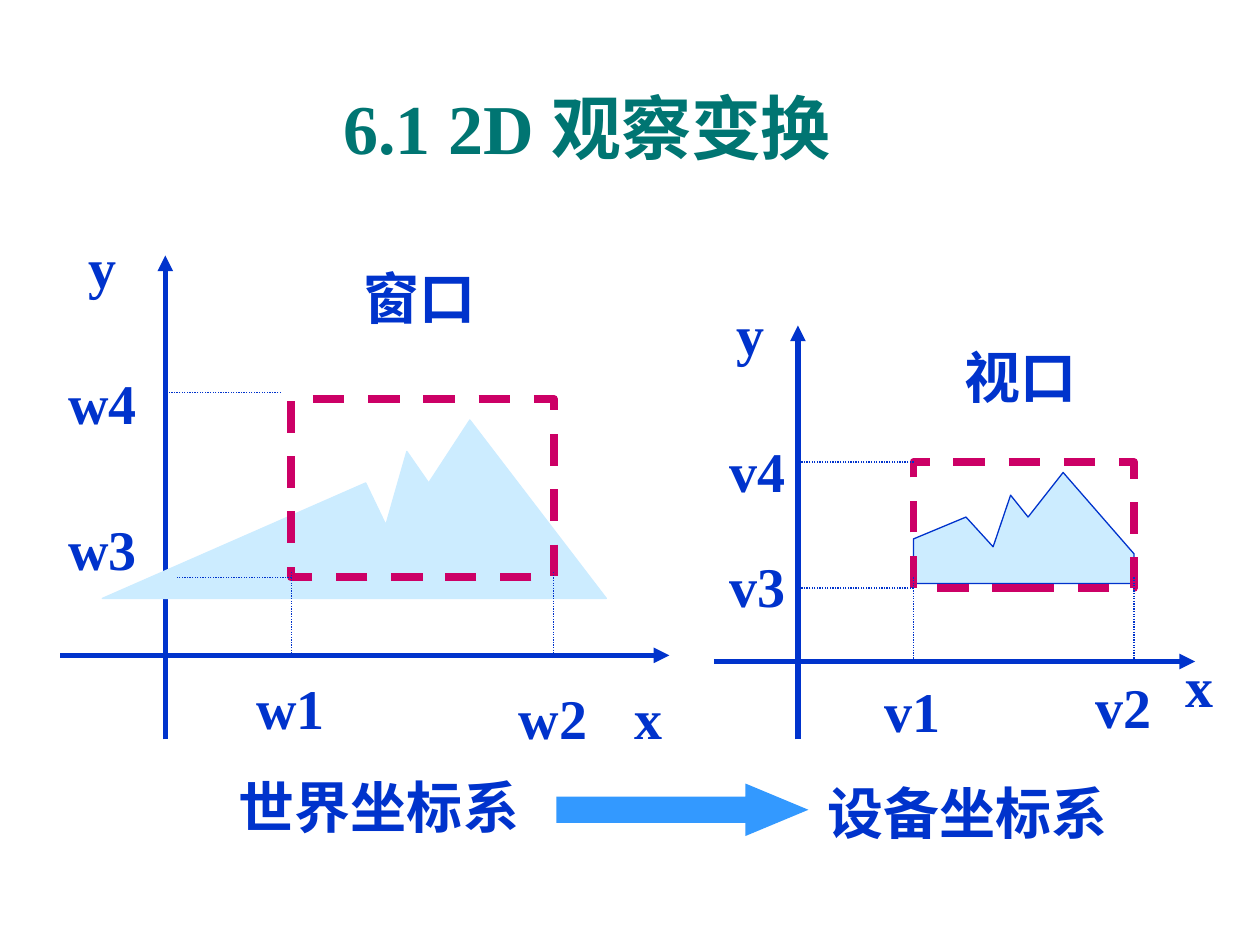
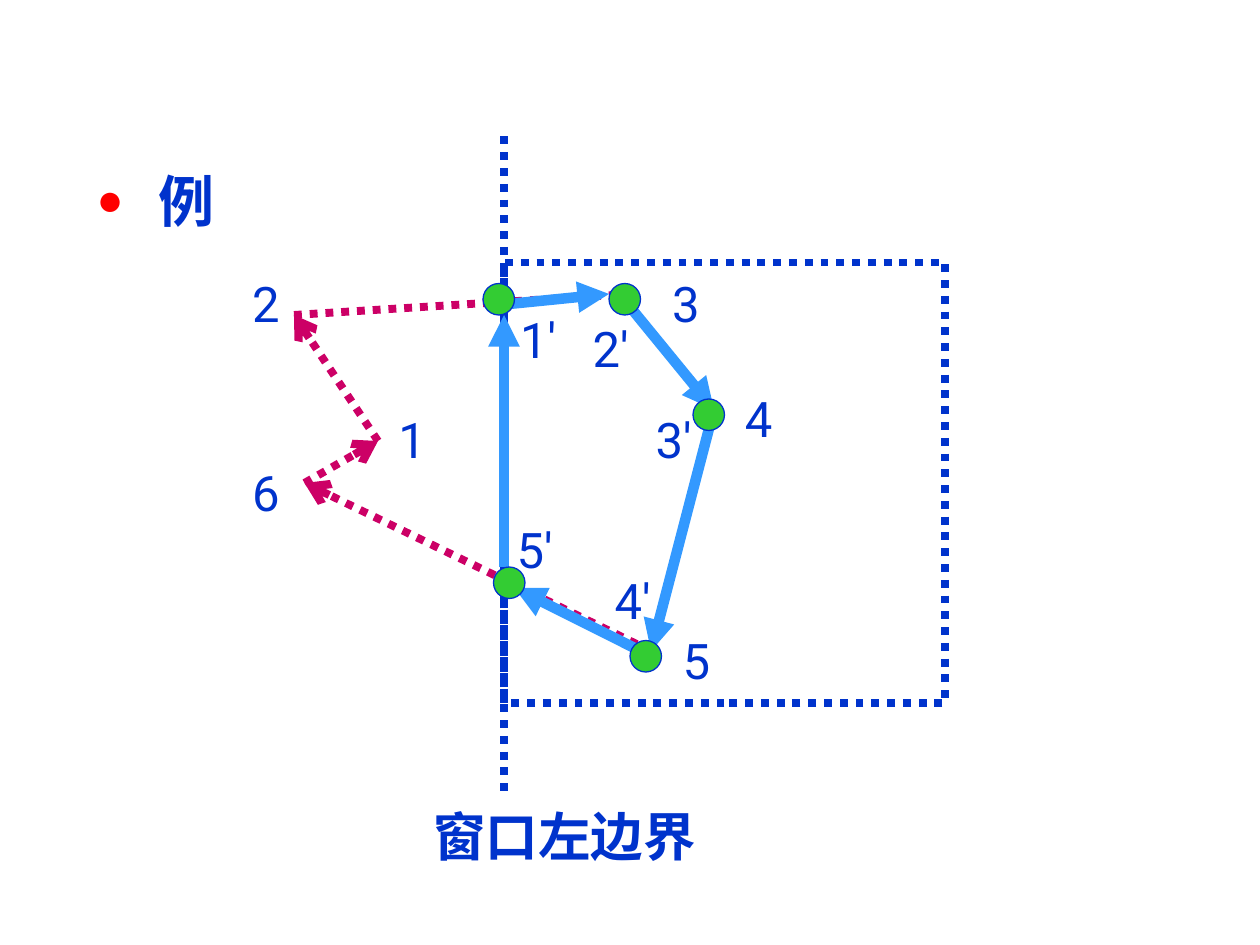
import lxml.etree
import pptx
import pptx.dml.color
import pptx.enum.dml
import pptx.enum.shapes
import pptx.enum.text
import pptx.oxml.ns
import pptx.util

Pt = pptx.util.Pt
SHAPE = pptx.enum.shapes.MSO_SHAPE
DASH = pptx.enum.dml.MSO_LINE.DASH
DOT = pptx.enum.dml.MSO_LINE.ROUND_DOT
ALIGN = pptx.enum.text.PP_ALIGN
ANCHOR = pptx.enum.text.MSO_ANCHOR
COLORS = {"title": "007572", "ink": "0033CC", "frame": "CC0066", "flow": "3399FF",
          "hill": "CCECFF", "node": "33CC33", "bullet": "FF0000"}
SERIF, SANS, LIST = "Times New Roman", "Roboto", "Arial"


def color(name):
    return pptx.dml.color.RGBColor.from_string(COLORS[name])


def add_tag(parent, name, **attrs):
    return lxml.etree.SubElement(parent, pptx.oxml.ns.qn(name), **attrs)


class Deck:
    def __init__(self):
        self.show = pptx.Presentation()
        self.show.slide_width, self.show.slide_height = Pt(720), Pt(540)

    def start(self, layout):
        self.slide = self.show.slides.add_slide(self.show.slide_layouts[layout])
        self.shapes = self.slide.shapes

    def place(self, shape, x, y, w, h):
        shape.left, shape.top, shape.width, shape.height = Pt(x), Pt(y), Pt(w), Pt(h)

    def letter(self, shape, words, size, font, ink="ink", bold=True, align=ALIGN.LEFT,
               anchor=ANCHOR.TOP, inset=(7.2, 3.6), wrap=False):
        frame = shape.text_frame
        frame.text = words
        frame.word_wrap = wrap
        frame.auto_size = pptx.enum.text.MSO_AUTO_SIZE.NONE
        frame.vertical_anchor = anchor
        frame.margin_left = frame.margin_right = Pt(inset[0])
        frame.margin_top = frame.margin_bottom = Pt(inset[1])
        part = frame.paragraphs[0]
        part.alignment = align
        part.space_before = Pt(0)
        for run in part.runs:
            run.font.size, run.font.name, run.font.bold = Pt(size), font, bold
            run.font.color.rgb = color(ink)
        return part

    def title(self, words, *box):
        shape = self.shapes.title
        self.place(shape, *box)
        self.letter(shape, words, 40, SERIF, "title", align=ALIGN.CENTER,
                    anchor=ANCHOR.BOTTOM, inset=(0, 0), wrap=True)

    def bullet(self, words, *box):
        self.shapes.title.element.getparent().remove(self.shapes.title.element)
        shape = self.slide.placeholders[1]
        self.place(shape, *box)
        part = self.letter(shape, words, 32, LIST, wrap=True)
        part.line_spacing = 1.2
        props = part._p.get_or_add_pPr()
        props.set("marL", str(Pt(35.3)))
        props.set("indent", str(-Pt(35.3)))
        add_tag(add_tag(props, "a:buClr"), "a:srgbClr", val=COLORS["bullet"])
        add_tag(props, "a:buSzPct", val="80000")
        add_tag(props, "a:buFont", typeface=LIST)
        add_tag(props, "a:buChar", char="●")

    def text(self, words, x, y, w, h, size, font, **style):
        box = self.shapes.add_textbox(Pt(x), Pt(y), Pt(w), Pt(h))
        self.letter(box, words, size, font, **style)

    def label(self, words, x, y, w, h=38, size=32, font=SERIF, bold=True):
        self.text(words, x, y, w, h, size, font, bold=bold, align=ALIGN.CENTER,
                  anchor=ANCHOR.MIDDLE, inset=(0, 0))

    def digit(self, words, x, y):
        self.label(words, x, y, 16 if len(words) == 1 else 23, 34, 28, SANS, False)

    def stroke(self, line, ink, width, dash=None):
        line.color.rgb = color(ink)
        line.width = Pt(width)
        if dash:
            line.dash_style = dash

    def paint(self, shape, fill=None, ink=None, width=0.75, dash=None):
        shape.shadow.inherit = False
        if fill:
            shape.fill.solid()
            shape.fill.fore_color.rgb = color(fill)
        else:
            shape.fill.background()
        if ink:
            self.stroke(shape.line, ink, width, dash)
        else:
            shape.line.fill.background()

    def shape(self, kind, x, y, w, h, **style):
        shape = self.shapes.add_shape(kind, Pt(x), Pt(y), Pt(w), Pt(h))
        self.paint(shape, **style)
        return shape

    def outline(self, points, **style):
        spots = [(Pt(x), Pt(y)) for x, y in points]
        edges = self.shapes.build_freeform(*spots[0], scale=1.0)
        edges.add_line_segments(spots[1:], close=True)
        self.paint(edges.convert_to_shape(), **style)

    def line(self, start, end, ink="ink", width=0.75, dash=None, tip=None):
        link = self.shapes.add_connector(
            pptx.enum.shapes.MSO_CONNECTOR.STRAIGHT, *map(Pt, start + end))
        self.stroke(link.line, ink, width, dash)
        if tip:
            add_tag(link.line._ln, "a:tailEnd", type=tip)
        add_tag(link._element.spPr, "a:effectLst")

    def axes(self, x, y, left, right, top, low):
        self.line((x, low), (x, top), width=3, tip="triangle")
        self.line((left, y), (right, y), width=3, tip="triangle")

    def frame(self, x, y, w, h):
        self.shape(SHAPE.RECTANGLE, x, y, w, h, ink="frame", width=4.5, dash=DASH)

    def guides(self, *pairs):
        for start, end in pairs:
            self.line(start, end, dash=DOT)

    def node(self, x, y):
        self.shape(SHAPE.OVAL, x, y, 18, 18, fill="node", ink="ink")

    def edge(self, start, end, tip=None):
        self.line(start, end, "frame", 4.5, DOT, tip)

    def flow(self, start, end):
        self.line(start, end, "flow", 6, tip="triangle")


def view_slide(deck):
    deck.start(5)
    deck.title("6.1 2D 观察变换", 106.5, 41, 458, 55.5)
    arrow = deck.shape(SHAPE.RIGHT_ARROW, 318, 447.75, 144, 30, fill="flow")
    arrow.adjustments[0], arrow.adjustments[1] = 0.5, 1.2
    for words, x, y in (("设备坐标系", 466, 441.5), ("世界坐标系", 129.5, 438)):
        deck.text(words, x, y, 174, 46, 32, SERIF)

    deck.axes(456, 378, 408, 683, 186, 422.5)
    for words, x, y in (("v1", 505.5, 386.5), ("v2", 626, 384.5),
                        ("v3", 417, 315.5), ("v4", 417, 249.5)):
        deck.label(words, x, y, 32)
    deck.label("x", 677.5, 372.5, 16)
    deck.label("y", 421, 171.5, 16)
    deck.label("视口", 551, 196, 64)
    deck.outline([(522, 333.5), (522, 308), (552, 295.5), (567.5, 312.5), (577.5, 283),
                  (587.5, 295.5), (607.5, 270), (648, 316.5), (648, 333.5)],
                 fill="hill", ink="ink")
    deck.frame(522, 264, 126, 72)
    deck.guides(((522, 330), (522, 378)), ((648, 330), (648, 378)),
                ((522, 336), (456, 336)), ((522, 264), (456, 264)))

    deck.axes(94.5, 374.5, 34.5, 382.5, 146, 422.5)
    for words, x, y in (("w1", 146.5, 385), ("w2", 296.5, 391),
                        ("w3", 39, 294), ("w4", 39, 211)):
        deck.label(words, x, y, 39)
    deck.label("x", 362.5, 391, 16)
    deck.label("y", 50.5, 133, 16)
    deck.label("窗口", 208, 151, 64)
    deck.outline([(58.5, 342), (209, 276), (220.5, 300), (232.5, 258), (245, 276),
                  (268.5, 240), (346.5, 342)], fill="hill", ink="hill")
    deck.frame(166.5, 228, 150, 102)
    deck.guides(((166.5, 327), (166.5, 374.5)), ((316.5, 327), (316.5, 374.5)),
                ((166.5, 330), (101, 330)), ((160.5, 224.5), (94.5, 224.5)))


def clip_slide(deck):
    deck.start(1)
    deck.bullet("例", 48, 84, 130, 53.5)
    deck.shape(SHAPE.RECTANGLE, 288, 150, 252, 252, ink="ink", width=4.5, dash=DOT)
    one, two, three = (216, 252), (168, 180), (360, 168)
    four, five, six = (408, 234), (372, 372), (174, 276)
    deck.edge(one, two, "arrow")
    deck.edge(two, three)
    deck.flow((354, 168), four)
    deck.flow(four, five)
    deck.edge(six, one, "arrow")
    deck.edge(five, six, "arrow")
    for words, x, y in (("1", 227.5, 234), ("2", 144, 156), ("3", 384, 156),
                        ("4", 425.5, 222), ("5", 390, 360), ("6", 144, 264),
                        ("1'", 296, 176.5), ("2'", 337.5, 182), ("3'", 373.5, 234),
                        ("4'", 350, 326), ("5'", 294, 296.5)):
        deck.digit(words, x, y)
    deck.node(348, 162)
    deck.node(396, 228)
    deck.line((288, 78), (288, 456), width=4.5, dash=DOT)
    deck.flow((288, 324), (288, 180))
    deck.flow((288, 174), (348, 168))
    deck.flow((366, 372), (294, 336))
    for x, y in ((276, 162), (282, 324), (360, 366)):
        deck.node(x, y)
    deck.text("窗口左边界", 240.5, 456, 164, 43, 30, SANS)


def main():
    deck = Deck()
    view_slide(deck)
    clip_slide(deck)
    deck.show.save("out.pptx")


if __name__ == "__main__":
    main()
